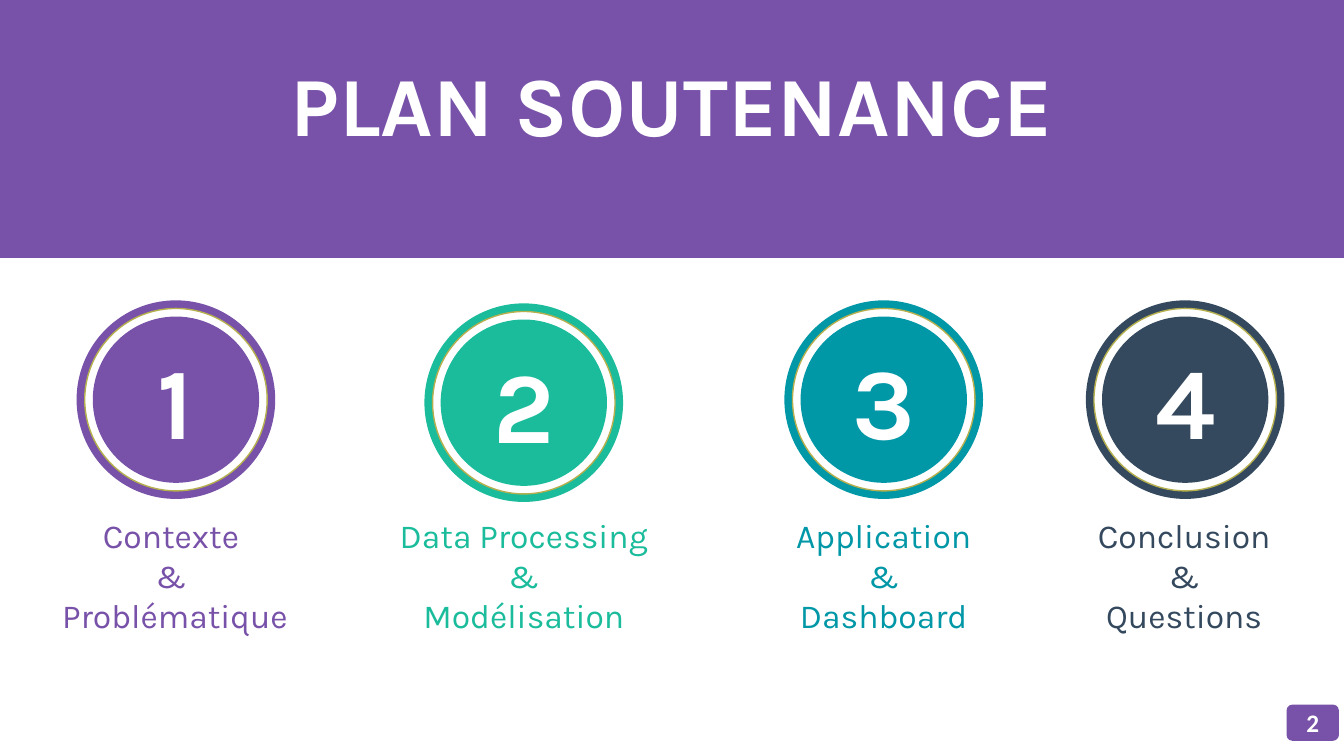
from dataclasses import dataclass

from pptx import Presentation
from pptx.dml.color import RGBColor
from pptx.enum.shapes import MSO_SHAPE
from pptx.enum.text import MSO_ANCHOR, MSO_AUTO_SIZE, PP_ALIGN
from pptx.util import Inches, Pt

RECTANGLE = MSO_SHAPE.RECTANGLE
ROUNDED = MSO_SHAPE.ROUNDED_RECTANGLE
OVAL = MSO_SHAPE.OVAL
CENTER = PP_ALIGN.CENTER
TOP = MSO_ANCHOR.TOP
MIDDLE = MSO_ANCHOR.MIDDLE
NO_AUTOFIT = MSO_AUTO_SIZE.NONE


@dataclass(frozen=True)
class Theme:
    purple: str = "7851A9"
    green: str = "1ABC9C"
    teal: str = "0097A7"
    navy: str = "34495E"
    white: str = "FFFFFF"
    gold: str = "B5AF4E"
    font: str = "Karla"
    page_font: str = "Calibri"
    title_size: int = 60
    number_size: int = 72
    label_size: int = 24
    page_size: int = 18


THEME = Theme()
RING = 1.97
RING_STEP = 0.08
LABEL_TOP = 5.02
LABEL_HEIGHT = 1.37

STEPS = [
    (("Contexte ", "& ", "Problématique"), THEME.purple, (0.76, 2.98), (0.44, 2.59)),
    (("Data Processing", "&", "Modélisation"), THEME.green, (4.21, 3.01), (3.84, 2.71)),
    (("Application", "&", "Dashboard"), THEME.teal, (7.78, 2.98), (7.6, 2.33)),
    (("Conclusion", "&", "Questions"), THEME.navy, (10.77, 2.98), (10.58, 2.33)),
]


def apply(target, values):
    for attribute, value in values.items():
        setattr(target, attribute, value)


def write(shape, lines, size, color, bold=False, font=THEME.font, anchor=MIDDLE):
    frame = shape.text_frame
    apply(frame, {"word_wrap": True, "auto_size": NO_AUTOFIT, "vertical_anchor": anchor})
    frame.text = "\n".join(lines)
    for paragraph in frame.paragraphs:
        paragraph.alignment = CENTER
        run_font = paragraph.runs[0].font
        apply(run_font, {"name": font, "size": Pt(size), "bold": bold})
        run_font.color.rgb = RGBColor.from_string(color)


def add_filled(slide, preset, box, fill, outline=None):
    shape = slide.shapes.add_shape(preset, *map(Inches, box))
    shape.shadow.inherit = False
    shape.fill.solid()
    shape.fill.fore_color.rgb = RGBColor.from_string(fill)
    if outline:
        shape.line.color.rgb = RGBColor.from_string(outline)
        shape.line.width = Pt(1)
    else:
        shape.line.fill.background()
    return shape


def add_header(slide, box):
    left, top, width, height = box
    band = add_filled(slide, RECTANGLE, box, THEME.purple)
    title = slide.shapes.title
    title.element.addprevious(band.element)
    apply(title, {
        "left": Inches(left + 2.02),
        "top": Inches(top + 0.53),
        "width": Inches(width - 4.04),
        "height": Inches(1.01),
    })
    margins = ("margin_left", "margin_top", "margin_right", "margin_bottom")
    apply(title.text_frame, dict.fromkeys(margins, 0))
    write(title, ["PLAN SOUTENANCE"], THEME.title_size, THEME.white, bold=True, anchor=TOP)


def add_badge(slide, box, number, color):
    left, top, size = box
    layers = ((color, None), (THEME.white, THEME.gold), (color, None))
    for depth, (fill, outline) in enumerate(layers):
        inset = depth * RING_STEP
        side = size - 2 * inset
        disc = add_filled(slide, OVAL, (left + inset, top + inset, side, side), fill, outline)
    write(disc, [str(number)], THEME.number_size, THEME.white, bold=True)


def add_label(slide, box, lines, color):
    label = add_filled(slide, RECTANGLE, box, THEME.white)
    write(label, lines, THEME.label_size, color)


def add_page_number(slide, box, number):
    page = add_filled(slide, ROUNDED, box, THEME.purple)
    write(page, [str(number)], THEME.page_size, THEME.white, bold=True, font=THEME.page_font)


def add_plan_slide(deck):
    slide = deck.slides.add_slide(deck.slide_layouts.get_by_name("Title Only"))
    add_header(slide, (0, -0.01, 13.33, 2.57))
    add_page_number(slide, (12.76, 6.99, 0.52, 0.36), 2)
    for number, (lines, color, badge_at, (left, width)) in enumerate(STEPS, 1):
        add_badge(slide, (*badge_at, RING), number, color)
        add_label(slide, (left, LABEL_TOP, width, LABEL_HEIGHT), lines, color)


def main():
    deck = Presentation()
    apply(deck, {"slide_width": Inches(13.33), "slide_height": Inches(7.5)})
    add_plan_slide(deck)
    deck.save("out.pptx")


if __name__ == "__main__":
    main()
